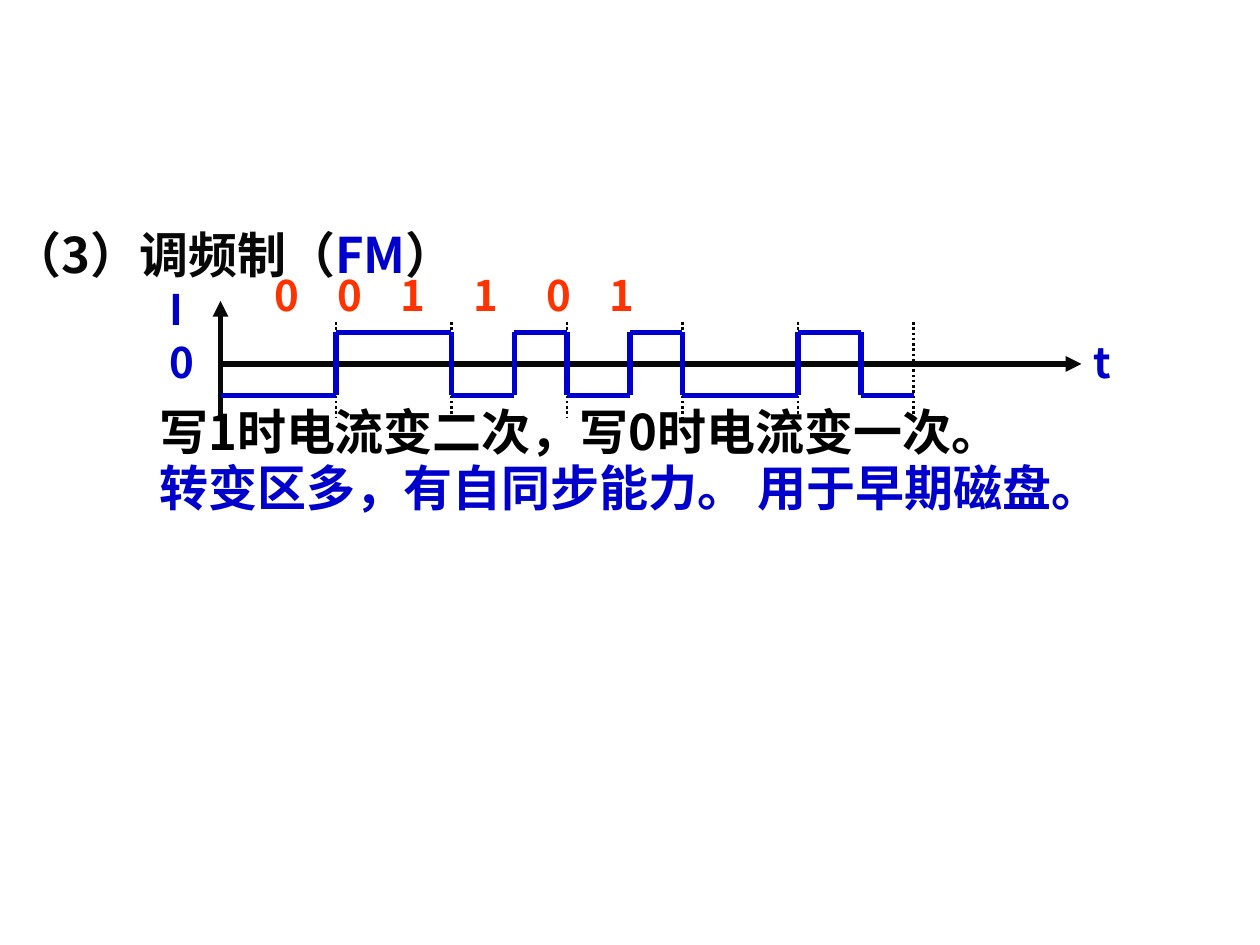
import pptx
import pptx.dml.color
import pptx.enum.dml
import pptx.enum.shapes
import pptx.enum.text
import pptx.oxml
import pptx.oxml.ns
import pptx.util

Pt = pptx.util.Pt
COLORS = {"ink": "080808", "black": "000000", "blue": "0000CC", "red": "FF3300"}

BITS = "001101"
ORIGIN_X, AXIS_Y, AXIS_END = 126, 208, 618
CELL, HALF_CELL = 66, 36
HIGH, LOW = 190, 226
GUIDE_TOP, GUIDE_BOTTOM = 184, 238.5


def rgb(name):
    return pptx.dml.color.RGBColor.from_string(COLORS[name])


def add_element(parent, tag, **attributes):
    element = pptx.oxml.parse_xml(f"<a:{tag} {pptx.oxml.ns.nsdecls('a')}/>")
    for key, value in attributes.items():
        element.set(key, str(value))
    parent.append(element)
    return element


class SlideWriter:
    font_name = "Noto Sans CJK SC"

    def __init__(self, page):
        self.page = page

    def fill_text(self, box, spans, size, line_spacing=1.0, tabs=()):
        """Write one paragraph of (text, color) spans into a box."""
        frame = box.text_frame
        formats = {
            "word_wrap": True,
            "vertical_anchor": pptx.enum.text.MSO_ANCHOR.TOP,
            "auto_size": pptx.enum.text.MSO_AUTO_SIZE.SHAPE_TO_FIT_TEXT,
            "margin_left": Pt(7.2), "margin_right": Pt(7.2),
            "margin_top": Pt(3.6), "margin_bottom": Pt(3.6),
        }
        for key, value in formats.items():
            setattr(frame, key, value)
        para = frame.paragraphs[0]
        para.alignment = pptx.enum.text.PP_ALIGN.LEFT
        para.line_spacing = line_spacing
        para.space_before = Pt(0)
        if tabs:
            stops = add_element(para._p.get_or_add_pPr(), "tabLst")
            for position in tabs:
                add_element(stops, "tab", pos=int(Pt(position)), algn="l")
        for text, color in spans:
            span = para.add_run()
            span.text = text
            font = {"name": self.font_name, "size": Pt(size), "bold": True}
            for key, value in font.items():
                setattr(span.font, key, value)
            span.font.color.rgb = rgb(color)
            add_element(span._r.get_or_add_rPr(), "ea", typeface=self.font_name)

    def title(self, place, spans, size):
        box = self.page.shapes.title
        for key, value in zip(("left", "top", "width", "height"), place):
            setattr(box, key, Pt(value))
        self.fill_text(box, spans, size)

    def text(self, place, text, color, size, **layout):
        box = self.page.shapes.add_textbox(*map(Pt, place))
        self.fill_text(box, [(text, color)], size, **layout)

    def line(self, start, end, color, width=3, arrow=False, dotted=False):
        line = self.page.shapes.add_connector(
            pptx.enum.shapes.MSO_CONNECTOR.STRAIGHT, *map(Pt, (*start, *end)))
        line.line.width = Pt(width)
        line.line.color.rgb = rgb(color)
        if dotted:
            line.line.dash_style = pptx.enum.dml.MSO_LINE.ROUND_DOT
        if arrow:
            add_element(line.line._get_or_add_ln(), "tailEnd", type="triangle")
        add_element(line._element.spPr, "effectLst")


def fm_points(bits):
    """Flip the level at every cell start, and again inside a cell holding 1."""
    level = LOW
    points = [(ORIGIN_X, level)]
    for index, bit in enumerate(bits):
        start = ORIGIN_X + index * CELL
        flips = [start] if index else []
        if bit == "1":
            flips.append(start + HALF_CELL)
        for x in flips:
            points.append((x, level))
            level = HIGH + LOW - level
            points.append((x, level))
    points.append((ORIGIN_X + len(bits) * CELL, level))
    return points


def main():
    deck = pptx.Presentation()
    deck.slide_width, deck.slide_height = Pt(720), Pt(540)
    page = deck.slides.add_slide(deck.slide_layouts[5])
    writer = SlideWriter(page)

    writer.title((0, 124.5, 396, 41),
                 [("（3）调频制（", "ink"), ("FM", "blue"), ("）", "ink")], 28)

    writer.line((ORIGIN_X, GUIDE_BOTTOM), (ORIGIN_X, 172), "ink", arrow=True)
    writer.line((ORIGIN_X, AXIS_Y), (AXIS_END, AXIS_Y), "ink", arrow=True)
    for index in range(1, len(BITS) + 1):
        x = ORIGIN_X + index * CELL
        writer.line((x, GUIDE_TOP), (x, GUIDE_BOTTOM), "black", 1.5, dotted=True)
    for label, x, y in (("I", 90, 166.3), ("0", 90, 196.6), ("t", AXIS_END, 196.6)):
        writer.text((x, y, 48, 27.4), label, "blue", 24, line_spacing=0.7)
    writer.text((150, 160.5, 480, 24.5), "\t".join(BITS), "red", 24,
                line_spacing=0.6, tabs=(36, 72, 113.5, 155, 191))

    points = fm_points(BITS)
    for start, end in zip(points, points[1:]):
        writer.line(start, end, "blue")

    for place, text, color in (
        ((84, 226, 636, 41), "写1时电流变二次，写0时电流变一次。", "black"),
        ((84, 257.8, 444, 41), "转变区多，有自同步能力。", "blue"),
        ((426, 257.8, 294, 41), "用于早期磁盘。", "blue"),
    ):
        writer.text(place, text, color, 28)

    deck.save("out.pptx")


if __name__ == "__main__":
    main()
